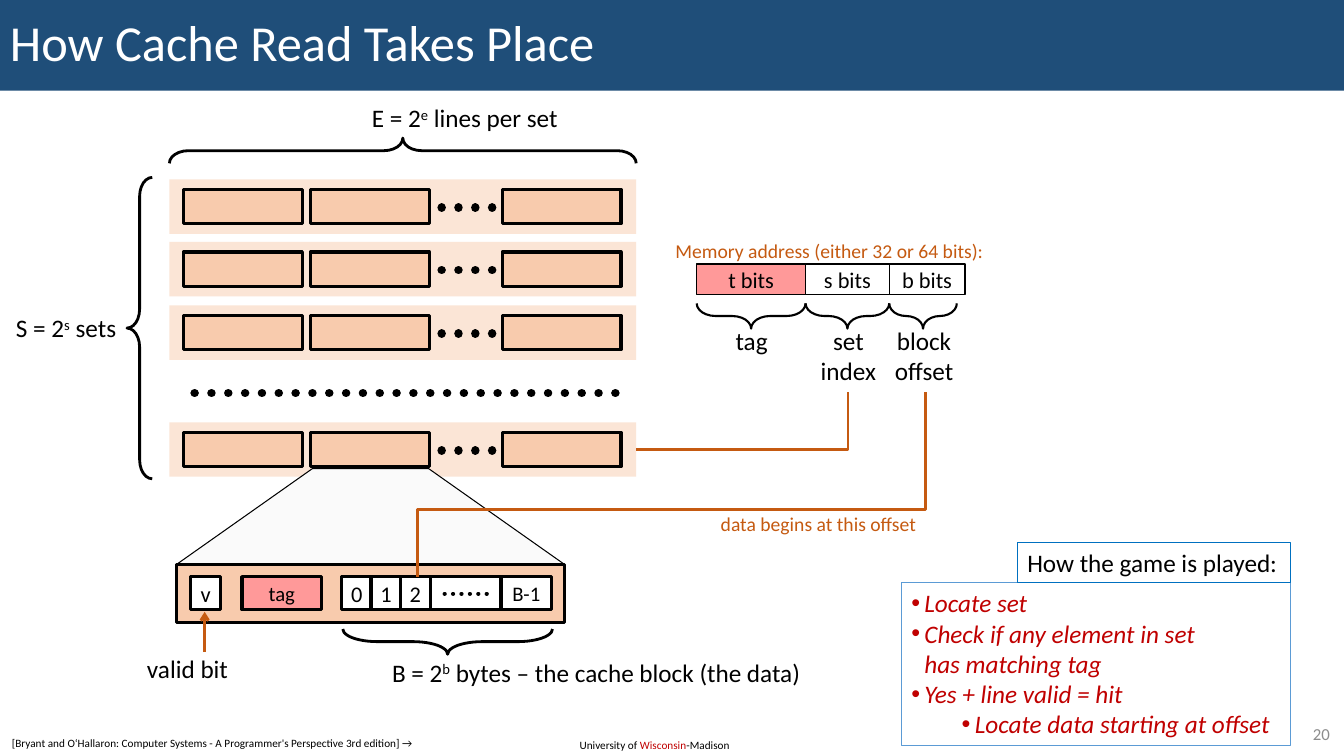
from lxml import etree
from pptx import Presentation
from pptx.dml.color import RGBColor
from pptx.enum.dml import MSO_LINE
from pptx.enum.shapes import MSO_CONNECTOR, MSO_SHAPE
from pptx.enum.text import MSO_ANCHOR, PP_ALIGN
from pptx.oxml.ns import qn
from pptx.util import Inches, Pt

RECTANGLE, TRAPEZOID, BRACE = MSO_SHAPE.RECTANGLE, MSO_SHAPE.TRAPEZOID, MSO_SHAPE.LEFT_BRACE
STRAIGHT, ELBOW = MSO_CONNECTOR.STRAIGHT, MSO_CONNECTOR.ELBOW
LEFT, CENTER, RIGHT = PP_ALIGN.LEFT, PP_ALIGN.CENTER, PP_ALIGN.RIGHT
TOP, MIDDLE = MSO_ANCHOR.TOP, MSO_ANCHOR.MIDDLE
DOTS = MSO_LINE.ROUND_DOT
COLORS = {
    "black": "000000", "white": "FFFFFF", "navy": "1F4E79", "gray": "8C8C8C",
    "set": "FBE5D6", "line": "F8CBAD", "tag": "FF9999", "zoom": "FAFAFA",
    "orange": "C55A11", "red": "C00000", "steps": "5B9BD5", "heading": "0070C0",
}


def color(name):
    return RGBColor.from_string(COLORS[name])


def write(shape, paragraphs, size=18, ink="black", align=LEFT, anchor=TOP, wrap=False, italic=False):
    """Fill a shape with paragraphs, each a list of (text, style); style is a colour or "super"."""
    frame = shape.text_frame
    frame.word_wrap, frame.vertical_anchor = wrap, anchor
    for index, pieces in enumerate(paragraphs):
        paragraph = frame.paragraphs[0] if index == 0 else frame.add_paragraph()
        paragraph.alignment = align
        for text, style in pieces:
            if text == "\v":
                paragraph.add_line_break()
                continue
            run = paragraph.add_run()
            run.text = text
            looks = {"name": "Calibri", "size": Pt(size), "italic": italic}
            for name, value in looks.items():
                setattr(run.font, name, value)
            run.font.color.rgb = color(style if style in COLORS else ink)
            if style == "super":
                run.font._element.set("baseline", "30000")
    return frame


def plain(*lines):
    return [[(line, None)] for line in lines]


def power(base, exponent, rest):
    return [[(base, None), (exponent, "super"), (rest, None)]]


def add_label(slide, box, paragraphs, **looks):
    return write(slide.shapes.add_textbox(*map(Inches, box)), paragraphs, **looks)


def add_box(slide, box, fill=None, line=None, width=2.25, kind=RECTANGLE):
    shape = slide.shapes.add_shape(kind, *map(Inches, box))
    shape.shadow.inherit = False
    if fill:
        shape.fill.solid()
        shape.fill.fore_color.rgb = color(fill)
    else:
        shape.fill.background()
    if line:
        shape.line.color.rgb = color(line)
        shape.line.width = Pt(width)
    else:
        shape.line.fill.background()
    return shape


def add_brace(slide, left, top, length, depth=0.25, rotation=0, width=2, curl=0.75):
    """Place a brace whose drawn corner is at left, top; 90 points up, 270 points down."""
    shift = (length - depth) / 2 if rotation else 0
    brace = add_box(slide, (left + shift, top - shift, depth, length), None, "black", width, BRACE)
    brace.rotation = rotation
    brace.adjustments[0] = curl


def add_line(slide, start, end, ink, width, kind=STRAIGHT):
    line = slide.shapes.add_connector(kind, *map(Inches, start + end))
    line.line.color.rgb = color(ink)
    line.line.width = Pt(width)
    etree.SubElement(line._element.spPr, qn("a:effectLst"))
    return line


def add_dots(slide, start, end, width=6):
    dots = add_line(slide, start, end, "black", width)
    dots.line.dash_style = DOTS
    dots._element.spPr.find(qn("a:ln")).set("cap", "rnd")


def add_drop(slide, start, end, bend=None):
    """Route down from start, then left to end; bend is the share of the fall before turning."""
    run, fall = start[0] - end[0], end[1] - start[1]
    middle_x, middle_y = (start[0] + end[0]) / 2, (start[1] + end[1]) / 2
    drop = add_line(slide, (middle_x - fall / 2, middle_y - run / 2),
                    (middle_x + fall / 2, middle_y + run / 2), "orange", 2, ELBOW)
    properties = drop._element.spPr
    properties.find(qn("a:xfrm")).set("rot", "5400000")
    geometry = properties.find(qn("a:prstGeom"))
    if bend is None:
        geometry.set("prst", "bentConnector2")
    else:
        guide = etree.SubElement(geometry.find(qn("a:avLst")), qn("a:gd"))
        guide.set("name", "adj1")
        guide.set("fmla", f"val {round(bend * 100000)}")


def add_frame(slide):
    """Title band, footer and page number."""
    add_label(slide, (5.65, 7.28, 1.72, 0.24),
              [[("University of ", None), ("Wisconsin", "red"), ("-Madison", None)]], size=8, wrap=True)
    band = add_box(slide, (0, 0, 13.33, 0.9), "navy")
    frame = write(band, plain("How Cache Read Takes Place"), size=36, ink="white", anchor=MIDDLE, wrap=True)
    frame.paragraphs[0].line_spacing = 0.9
    add_label(slide, (12.53, 7.13, 0.76, 0.29), plain("20"), size=12, ink="gray",
              align=RIGHT, anchor=MIDDLE, wrap=True)
    add_label(slide, (0.02, 7.26, 4.31, 0.24), plain(
        "[Bryant and O‘Hallaron: Computer Systems - A Programmer's Perspective 3rd edition] →"),
        size=8, wrap=True)


def add_cache_set(slide, left, top):
    add_box(slide, (left, top, 4.63, 0.54), "set")
    for offset in (0.14, 1.4, 3.3):
        add_box(slide, (left + offset, top + 0.1, 1.18, 0.34), "line", "black")
    add_dots(slide, (left + 2.7, top + 0.28), (left + 3.31, top + 0.28))


def add_cache(slide, left, top):
    add_brace(slide, left, top - 0.41, 4.63, rotation=90)
    add_brace(slide, left - 0.42, top - 0.02, 2.99)
    for offset in (0, 0.62, 1.25, 2.41):
        add_cache_set(slide, left, top + offset)
    add_dots(slide, (left + 0.25, top + 2.12), (left + 4.48, top + 2.12))
    add_label(slide, (left + 1.91, top - 0.81, 2.14, 0.4), power("E = 2", "e", " lines per set"))
    add_label(slide, (left - 1.62, top + 1.27, 1.23, 0.4), power("S = 2", "s", " sets"))


def add_cache_line(slide, left, top):
    """One cache line enlarged: valid bit, tag and bytes."""
    zoom = add_box(slide, (left, top - 0.95, 3.85, 0.95), "zoom", "black", 0.75, TRAPEZOID)
    zoom.adjustments[0] = 1.418
    add_box(slide, (left, top, 3.85, 0.58), "line", "black")
    fields = [("0", 1.64, 0.3, 16), ("1", 1.93, 0.3, 16), ("2", 2.22, 0.3, 16), ("B-1", 3.22, 0.5, 14.8),
              ("", 2.52, 0.7, 16), ("tag", 0.65, 0.79, 14.8), ("v", 0.14, 0.3, 16)]
    for text, offset, width, size in fields:
        fill = "tag" if text == "tag" else "white"
        field = add_box(slide, (left + offset, top + 0.12, width, 0.33), fill, "black")
        if text:
            write(field, plain(text), size=size, align=CENTER, anchor=MIDDLE)
    add_dots(slide, (left + 2.66, top + 0.29), (left + 3.16, top + 0.29), 3)
    add_label(slide, (left - 0.39, top + 0.83, 1.04, 0.4), plain("valid bit"))
    arrow = add_line(slide, (left + 0.28, top + 0.87), (left + 0.28, top + 0.47), "orange", 2)
    etree.SubElement(arrow._element.spPr.find(qn("a:ln")), qn("a:tailEnd")).set("type", "arrow")
    add_brace(slide, left + 1.65, top + 0.64, 2.08, rotation=270, curl=1.37)
    add_label(slide, (left + 2.04, top + 0.87, 4.37, 0.4),
              power("B = 2", "b", " bytes – the cache block (the data)"))


def add_address(slide, left, top):
    add_label(slide, (left - 0.31, top - 0.3, 3.29, 0.34),
              plain("Memory address (either 32 or 64 bits):"), size=14, ink="orange")
    fields = [("t bits", "tag", 0, 1.08, 1.08, ["tag"], (0.28, 0.53, 0.4)),
              ("s bits", "white", 1.08, 0.83, 0.83, ["set", "index"], (1.12, 0.77, 0.71)),
              ("b bits", "white", 1.91, 0.75, 0.67, ["block", "offset"], (1.85, 0.81, 0.71))]
    for bits, fill, offset, width, span, names, (shift, name_width, height) in fields:
        field = add_box(slide, (left + offset, top, width, 0.3), fill, "black", 1)
        write(field, plain(bits), size=16, align=CENTER, anchor=MIDDLE, wrap=True)
        add_brace(slide, left + offset, top + 0.39, span, rotation=270, width=1.5)
        add_label(slide, (left + shift, top + 0.56, name_width, height), plain(*names), align=CENTER)


def add_routes(slide):
    """Lead the set index and block offset to what they select."""
    add_drop(slide, (8.41, 3.89), (6.31, 4.46))
    add_drop(slide, (9.18, 3.89), (4.14, 5.72), 0.638)
    add_label(slide, (7.05, 5.03, 2.2, 0.34), plain("data begins at this offset"), size=14, ink="orange")


def add_game(slide, left, top):
    """Steps of a read under their heading."""
    steps = plain("Locate set", "", "Yes + line valid = hit", "Locate data starting at offset")
    steps[1] = [("Check if any element in set", None), ("\v", None), ("has matching tag", None)]
    panel = add_box(slide, (left, top + 0.4, 3.86, 1.62), "white", "steps", 0.75)
    frame = write(panel, steps, ink="red", wrap=True, italic=True)
    for paragraph, level in zip(frame.paragraphs, (0, 0, 0, 1)):
        paragraph.level = level
        properties = paragraph._p.get_or_add_pPr()
        properties.set("marL", str(Inches(0.13 + 0.5 * level)))
        properties.set("indent", str(Inches(-0.13)))
        etree.SubElement(properties, qn("a:buFont")).set("typeface", "Arial")
        etree.SubElement(properties, qn("a:buChar")).set("char", "•")
    heading = add_box(slide, (left + 1.15, top, 2.71, 0.4), None, "heading", 0.75)
    write(heading, plain("How the game is played:"))


def main():
    presentation = Presentation()
    presentation.slide_width, presentation.slide_height = Inches(13.33), Inches(7.5)
    slide = presentation.slides.add_slide(presentation.slide_layouts[6])
    add_frame(slide)
    add_cache(slide, 1.68, 1.78)
    add_cache_line(slide, 1.75, 5.6)
    add_address(slide, 6.91, 2.62)
    add_routes(slide)
    add_game(slide, 8.94, 5.38)
    presentation.save("out.pptx")


if __name__ == "__main__":
    main()
